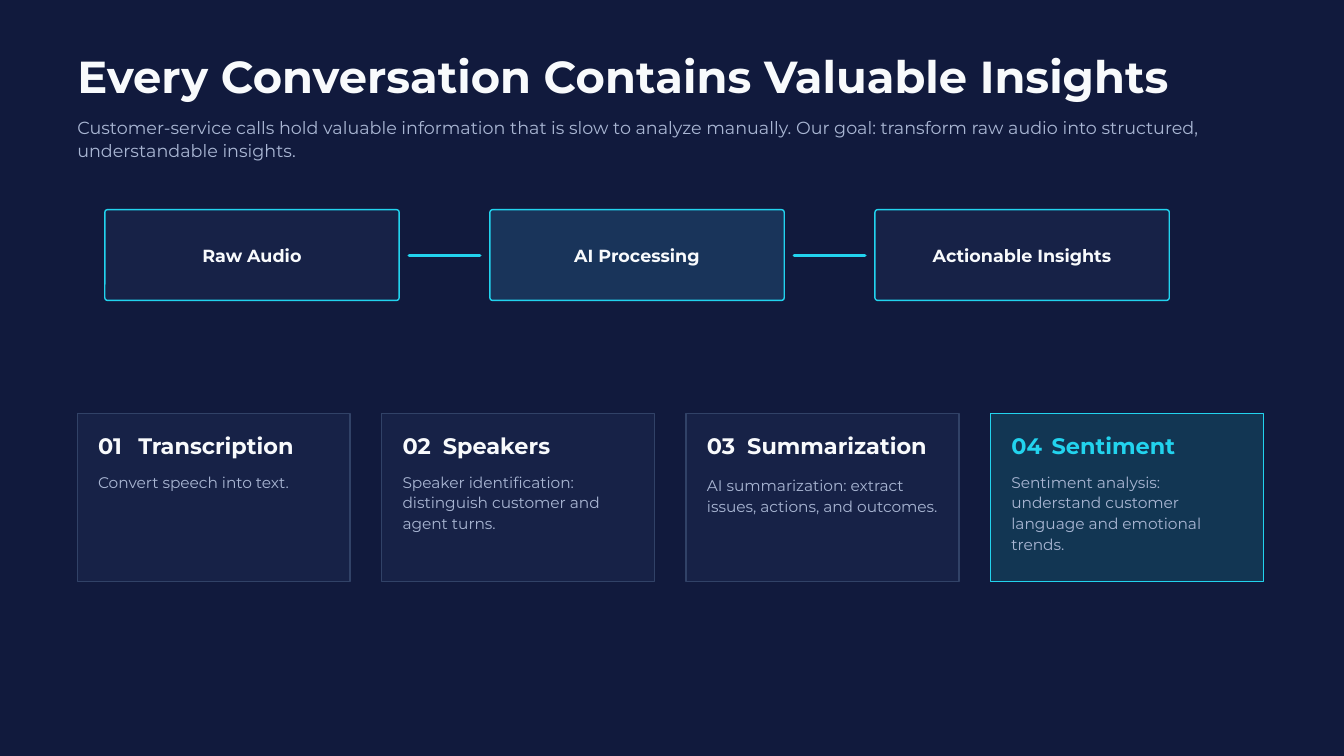
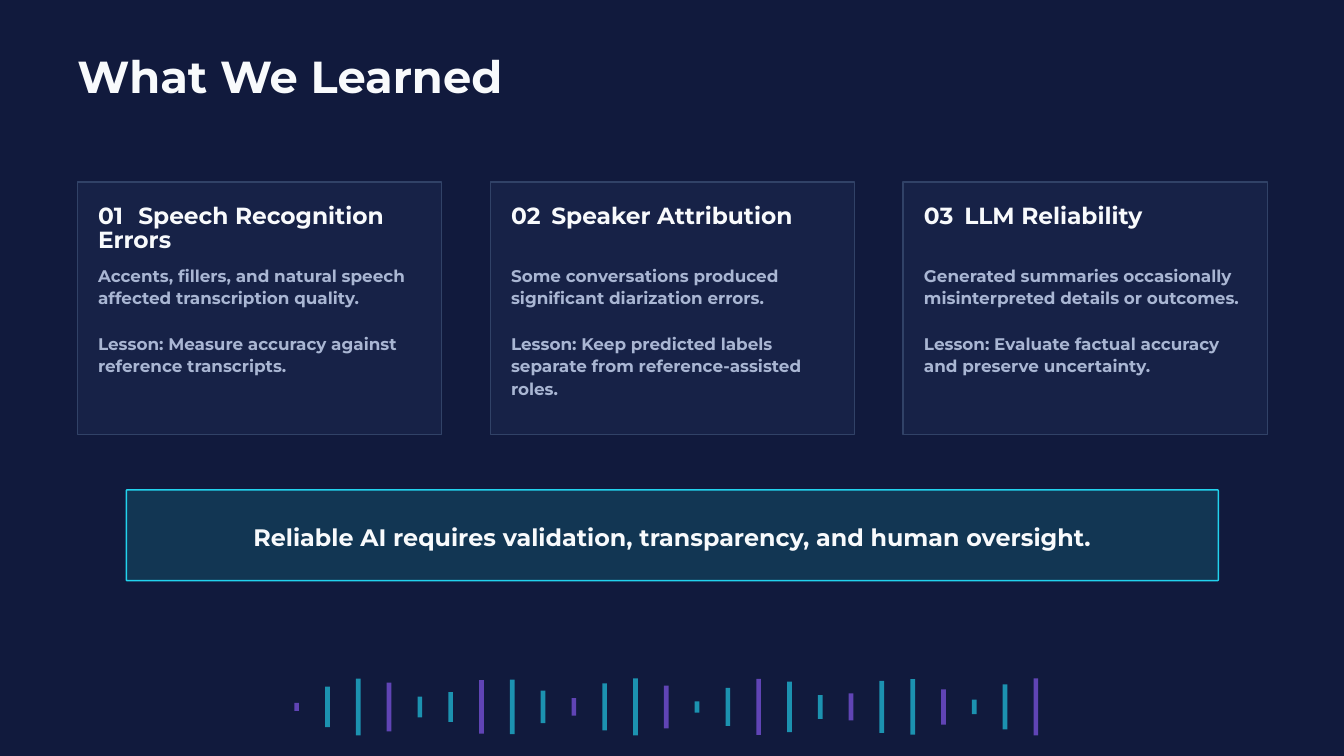
from dataclasses import dataclass
from math import sin

from lxml.etree import SubElement
from pptx import Presentation
from pptx.dml.color import RGBColor
from pptx.enum.shapes import MSO_CONNECTOR, MSO_SHAPE
from pptx.enum.text import MSO_ANCHOR, MSO_AUTO_SIZE, PP_ALIGN
from pptx.oxml.ns import qn
from pptx.util import Inches, Pt

FONT = "Montserrat"
LEFT = 1.15
WIDTH = 17.71
COLORS = {
    "background": "111A3D",
    "white": "F8FAFC",
    "muted": "A9B6D3",
    "panel": "172247",
    "border": "314267",
    "cyan": "22D3EE",
    "violet": "8B5CF6",
    "active": "19345A",
    "highlight": "123653",
}


@dataclass(frozen=True)
class TextStyle:
    size: float
    spacing: float
    color: str = "white"
    bold: bool = True


@dataclass(frozen=True)
class Card:
    heading: str
    body: tuple[str, ...]
    fill: str = "panel"
    accent: str = "border"
    heading_color: str = "white"
    body_shift: float = 0


@dataclass(frozen=True)
class CardRow:
    top: float
    width: float
    height: float
    pitch: float
    heading_top: float
    body_top: float
    heading_size: float
    body_style: TextStyle


@dataclass(frozen=True)
class Step:
    label: str
    fill: str


TITLE = TextStyle(48, 50.4)
SUBTITLE = TextStyle(18.8, 25.3, "muted", False)
STEP = TextStyle(18.8, 26.2)
BANNER = TextStyle(25.5, 35.7)

STEPS = [
    Step("Raw Audio", "panel"),
    Step("AI Processing", "active"),
    Step("Actionable Insights", "panel"),
]

FEATURE_ROW = CardRow(6.15, 4.06, 2.5, 4.53, 6.5, 7, 24,
                      TextStyle(16.5, 22.3, "muted", False))
FEATURES = [
    Card("Transcription", ("Convert speech into text.",)),
    Card("Speakers", ("Speaker identification: distinguish customer and agent turns.",)),
    Card("Summarization", ("AI summarization: extract issues, actions, and outcomes.",),
         body_shift=0.05),
    Card("Sentiment",
         ("Sentiment analysis: understand customer language and emotional trends.",),
         "highlight", "cyan", "cyan"),
]

LESSON_ROW = CardRow(2.71, 5.42, 3.76, 6.145, 3.07, 3.91, 25,
                     TextStyle(18, 24.3, "muted"))
LESSONS = [
    Card("Speech Recognition Errors",
         ("Accents, fillers, and natural speech affected transcription quality.",
          "Lesson: Measure accuracy against reference transcripts.")),
    Card("Speaker Attribution",
         ("Some conversations produced significant diarization errors.",
          "Lesson: Keep predicted labels separate from reference-assisted roles.")),
    Card("LLM Reliability",
         ("Generated summaries occasionally misinterpreted details or outcomes.",
          "Lesson: Evaluate factual accuracy and preserve uncertainty.")),
]


def rgb(name: str) -> RGBColor:
    return RGBColor.from_string(COLORS[name])


def write(tf, paragraphs: tuple[str, ...], style: TextStyle,
          align=PP_ALIGN.LEFT, tab: float = 0) -> None:
    tf.word_wrap = True
    tf.auto_size = MSO_AUTO_SIZE.NONE
    for i, text in enumerate(paragraphs):
        p = tf.add_paragraph() if i else tf.paragraphs[0]
        if tab:
            tabs = SubElement(p._p.get_or_add_pPr(), qn("a:tabLst"))
            SubElement(tabs, qn("a:tab"), pos=str(Inches(tab)), algn="l")
        p.alignment = align
        p.line_spacing = Pt(style.spacing)
        p.space_before = Pt(style.spacing if i else 0)
        r = p.add_run()
        r.text = text
        r.font.name = FONT
        r.font.size = Pt(style.size)
        r.font.bold = style.bold
        r.font.color.rgb = rgb(style.color)


def set_margins(tf, side: float, top: float, bottom: float) -> None:
    tf.margin_left = tf.margin_right = Inches(side)
    tf.margin_top, tf.margin_bottom = Inches(top), Inches(bottom)


def add_text(s, left: float, top: float, width: float, height: float,
             paragraphs: tuple[str, ...], style: TextStyle, tab: float = 0) -> None:
    tf = s.shapes.add_textbox(
        Inches(left), Inches(top), Inches(width), Inches(height)).text_frame
    set_margins(tf, 0, 0, 0)
    write(tf, paragraphs, style, tab=tab)


def add_panel(s, left: float, top: float, width: float, height: float,
              fill: str, border: str = "", radius: float = 0):
    kind = MSO_SHAPE.ROUNDED_RECTANGLE if radius else MSO_SHAPE.RECTANGLE
    sp = s.shapes.add_shape(
        kind, Inches(left), Inches(top), Inches(width), Inches(height))
    if radius:
        sp.adjustments[0] = radius / height
    sp.shadow.inherit = False
    sp.fill.solid()
    sp.fill.fore_color.rgb = rgb(fill)
    if border:
        sp.line.color.rgb = rgb(border)
        sp.line.width = Pt(1.5)
    else:
        sp.line.fill.background()
    return sp


def add_label_panel(s, left: float, top: float, width: float, fill: str,
                    radius: float, text: str, style: TextStyle) -> None:
    tf = add_panel(s, left, top, width, 1.35, fill, "cyan", radius).text_frame
    set_margins(tf, 0.06, 0.06, 0.09)
    tf.vertical_anchor = MSO_ANCHOR.MIDDLE
    write(tf, (text,), style, PP_ALIGN.CENTER)


def add_titled_slide(prs, title: str):
    s = prs.slides.add_slide(prs.slide_layouts[5])
    sp = s.shapes.title
    sp.left, sp.top = Inches(LEFT), Inches(0.83)
    sp.width, sp.height = Inches(WIDTH), Inches(0.71)
    tf = sp.text_frame
    set_margins(tf, 0, 0, 0)
    tf.vertical_anchor = MSO_ANCHOR.TOP
    write(tf, (title,), TITLE)
    return s


def add_cards(s, row: CardRow, cards: list[Card]) -> None:
    pad = 0.31
    text_width = row.width - 2 * pad
    for i, card in enumerate(cards):
        left = LEFT + i * row.pitch
        add_panel(s, left, row.top, row.width, row.height, card.fill, card.accent)
        add_text(s, left + pad, row.heading_top, text_width, 0.36,
                 (f"{i + 1:02}\t{card.heading}",),
                 TextStyle(row.heading_size, row.heading_size, card.heading_color),
                 tab=0.6)
        add_text(s, left + pad, row.body_top + card.body_shift, text_width, 1.2,
                 card.body, row.body_style)


def add_flow(s) -> None:
    left, top, width, pitch, middle = 1.56, 3.12, 4.38, 5.73, 3.8
    for i, step in enumerate(STEPS):
        x = left + i * pitch
        add_label_panel(s, x, top, width, step.fill, 0.04, step.label, STEP)
        if i < len(STEPS) - 1:
            line = s.shapes.add_connector(
                MSO_CONNECTOR.STRAIGHT, Inches(x + width + 0.15), Inches(middle),
                Inches(x + pitch - 0.15), Inches(middle))
            line.line.color.rgb = rgb("cyan")
            line.line.width = Pt(3.75)
            sp_pr = line._element.spPr
            sp_pr.find(qn("a:ln")).set("cap", "rnd")
            SubElement(sp_pr, qn("a:effectLst"))


def add_waveform(s) -> None:
    left, middle, count, span = 4.38, 10.52, 25, 11
    for i in range(count):
        height = 0.12 + 0.73 * abs(sin(0.72 * i))
        bar = add_panel(s, left + i * span / (count - 1), middle - height / 2,
                        0.07, height, "cyan" if i % 3 else "violet")
        color = bar._element.spPr.find(qn("a:solidFill"))[0]
        SubElement(color, qn("a:alpha"), val="65000")


def build_insights(prs) -> None:
    s = add_titled_slide(prs, "Every Conversation Contains Valuable Insights")
    add_text(s, LEFT, 1.7, WIDTH, 0.68,
             ("Customer-service calls hold valuable information that is slow to "
              "analyze manually. Our goal: transform raw audio into structured, "
              "understandable insights.",), SUBTITLE)
    add_flow(s)
    add_cards(s, FEATURE_ROW, FEATURES)


def build_lessons(prs) -> None:
    s = add_titled_slide(prs, "What We Learned")
    add_cards(s, LESSON_ROW, LESSONS)
    add_label_panel(
        s, 1.88, 7.29, 16.25, "highlight", 0.01,
        "Reliable AI requires validation, transparency, and human oversight.", BANNER)
    add_waveform(s)


def main() -> None:
    prs = Presentation()
    prs.slide_width, prs.slide_height = Inches(20), Inches(11.25)
    background = prs.slide_master.background.fill
    background.solid()
    background.fore_color.rgb = rgb("background")
    build_insights(prs)
    build_lessons(prs)
    prs.save("out.pptx")


if __name__ == "__main__":
    main()
